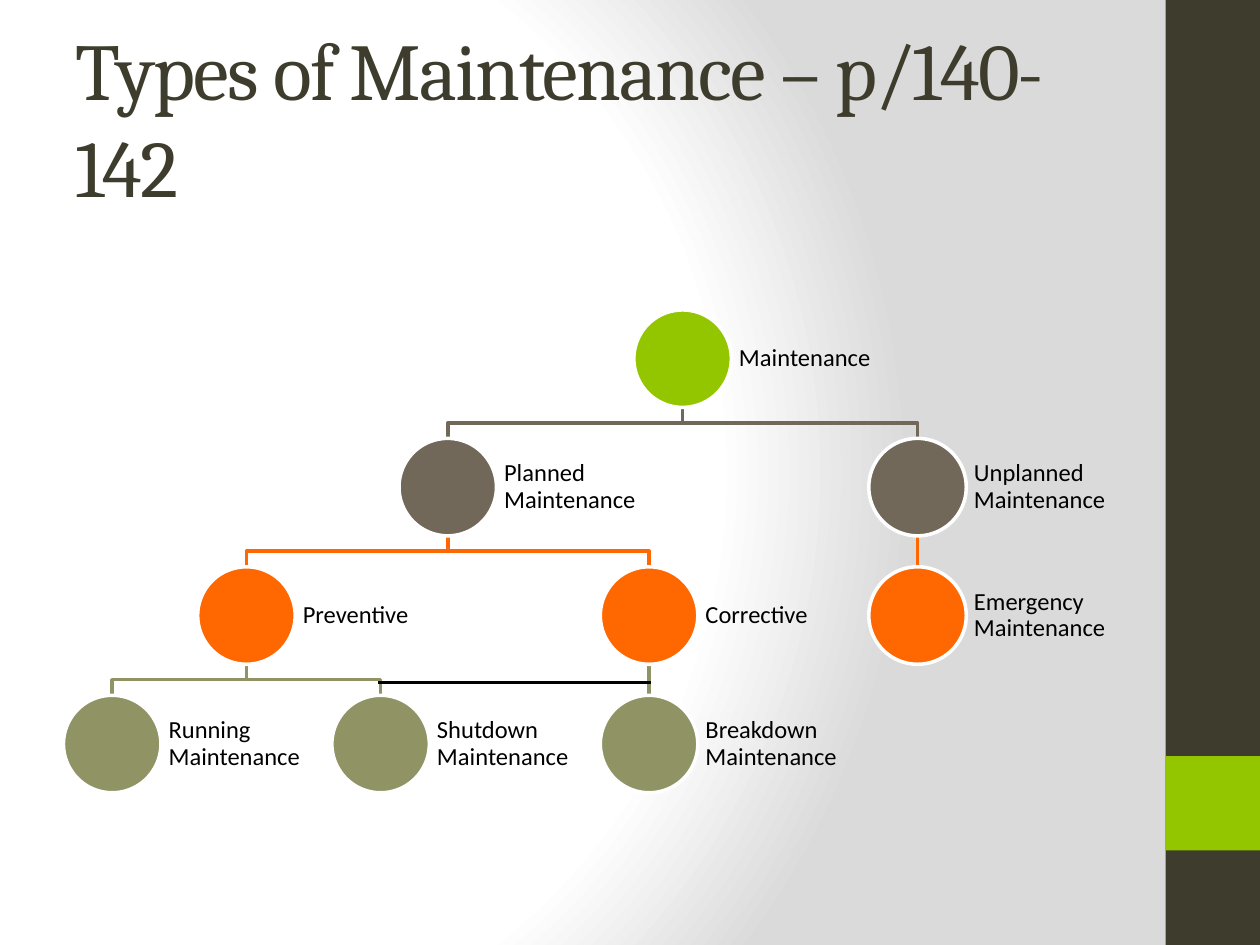
from lxml import etree
from pptx import Presentation
from pptx.dml.color import RGBColor
from pptx.enum.shapes import MSO_CONNECTOR, MSO_SHAPE
from pptx.enum.text import MSO_ANCHOR, MSO_AUTO_SIZE, PP_ALIGN
from pptx.oxml.ns import qn
from pptx.util import Pt

STRAIGHT = MSO_CONNECTOR.STRAIGHT
RECTANGLE, OVAL = MSO_SHAPE.RECTANGLE, MSO_SHAPE.OVAL
MIDDLE, LEFT, NO_FIT = MSO_ANCHOR.MIDDLE, PP_ALIGN.LEFT, MSO_AUTO_SIZE.NONE

TITLE = "Types of Maintenance – p/140-142"
MAINTENANCE = ("Maintenance", [
    ("Planned Maintenance", [
        ("Preventive", [
            ("Running Maintenance", []),
            ("Shutdown Maintenance", []),
        ]),
        ("Corrective", [("Breakdown Maintenance", [])]),
    ]),
    ("Unplanned Maintenance", [("Emergency Maintenance", [])]),
])
COLORS = {
    "dark": "3E3D2D", "green": "94C600", "taupe": "71685A", "orange": "FF6700",
    "olive": "909465", "white": "FFFFFF", "gray": "DADADA", "black": "000000",
}
LEVEL_COLORS = ["green", "taupe", "orange", "olive"]
BACKGROUND_STOPS = [(0, "white"), (75, "white"), (100, "gray")]

SLIDE_W, SLIDE_H, BAND_W = 720, 540, 54
FIRST_LEAF_X, LEAF_PITCH = 64.1, 153.4
ROOT_Y, LEVEL_PITCH = 177.1, 73.4
DIAMETER, LABEL_W, INSET = 55.7, 83.5, 4.4
LINE_W = 2


def color(name):
    return RGBColor.from_string(COLORS[name])


def place(branch, level=0):
    name, children = branch
    placed = [place(child, level + 1) for child in children]
    if placed:
        x = (placed[0]["x"] + placed[-1]["x"]) / 2
    else:
        x = FIRST_LEAF_X + LEAF_PITCH * len(leaves)
        leaves.append(name)
    return {"name": name, "x": x, "top": ROOT_Y + LEVEL_PITCH * level,
            "color": LEVEL_COLORS[level], "children": placed}


def add_filled(kind, left, top, width, height, fill):
    shape = slide.shapes.add_shape(kind, Pt(left), Pt(top), Pt(width), Pt(height))
    shape.shadow.inherit = False
    shape.fill.solid()
    shape.fill.fore_color.rgb = color(fill)
    shape.line.fill.background()
    return shape


def style_line(line, name):
    line.color.rgb = color(name)
    line.width = Pt(LINE_W)


def add_straight(x1, y1, x2, y2, name):
    line = slide.shapes.add_connector(STRAIGHT, Pt(x1), Pt(y1), Pt(x2), Pt(y2))
    style_line(line.line, name)
    etree.SubElement(line._element.spPr, qn("a:effectLst"))


def style_text(frame, font_name, size, name):
    frame.word_wrap = True
    frame.auto_size = NO_FIT
    frame.vertical_anchor = MIDDLE
    paragraph = frame.paragraphs[0]
    paragraph.alignment = LEFT
    font = paragraph.runs[0].font
    font.name, font.size, font.color.rgb = font_name, Pt(size), color(name)
    return paragraph


def draw_links(node):
    start = node["top"] + DIAMETER
    for child in reversed(node["children"]):
        if child["x"] == node["x"]:
            add_straight(node["x"], start, child["x"], child["top"], child["color"])
        else:
            middle = (start + child["top"]) / 2
            elbow = slide.shapes.build_freeform(Pt(node["x"]), Pt(start))
            elbow.add_line_segments(
                [(Pt(node["x"]), Pt(middle)), (Pt(child["x"]), Pt(middle)),
                 (Pt(child["x"]), Pt(child["top"]))], close=False)
            link = elbow.convert_to_shape()
            link.shadow.inherit = False
            link.fill.background()
            style_line(link.line, child["color"])
        draw_links(child)


def draw_nodes(node):
    radius = DIAMETER / 2
    circle = add_filled(OVAL, node["x"] - radius, node["top"],
                        DIAMETER, DIAMETER, node["color"])
    style_line(circle.line, "white")
    label = slide.shapes.add_textbox(Pt(node["x"] + radius), Pt(node["top"]),
                                     Pt(LABEL_W), Pt(DIAMETER))
    frame = label.text_frame
    frame.text = node["name"]
    frame.margin_left = frame.margin_top = frame.margin_bottom = Pt(INSET)
    frame.margin_right = Pt(INSET / 2)
    style_text(frame, "Calibri", 14, "black").line_spacing = 0.9
    for child in node["children"]:
        draw_nodes(child)


def paint_background():
    slide.background.fill.gradient()
    gradient = slide._element.find(".//" + qn("a:gradFill"))
    for part in list(gradient):
        gradient.remove(part)
    stops = etree.SubElement(gradient, qn("a:gsLst"))
    for percent, name in BACKGROUND_STOPS:
        stop = etree.SubElement(stops, qn("a:gs"), pos=str(percent * 1000))
        etree.SubElement(stop, qn("a:srgbClr"), val=COLORS[name])
    circle = etree.SubElement(gradient, qn("a:path"), path="circle")
    etree.SubElement(circle, qn("a:fillToRect"),
                     l="20000", t="50000", r="100000", b="50000")


prs = Presentation()
prs.slide_width, prs.slide_height = Pt(SLIDE_W), Pt(SLIDE_H)
slide = prs.slides.add_slide(prs.slide_layouts[5])
paint_background()

band_x = SLIDE_W - BAND_W
add_filled(RECTANGLE, band_x, 0, BAND_W, SLIDE_H, "dark")
add_filled(RECTANGLE, band_x, 432, BAND_W, BAND_W, "green")

title = slide.shapes.title
title.left, title.top, title.width, title.height = Pt(36), Pt(21.6), Pt(600), Pt(90)
title.text_frame.text = TITLE
heading = style_text(title.text_frame, "Cambria", 46, "dark")
heading.runs[0].font._element.set("spc", "-100")

leaves = []
root = place(MAINTENANCE)
draw_links(root)
draw_nodes(root)

preventive, corrective = root["children"][0]["children"]
shutdown = preventive["children"][-1]
add_straight(shutdown["x"] - 1.4, 390, corrective["x"] + 1.4, 390, "black")

prs.save("out.pptx")
